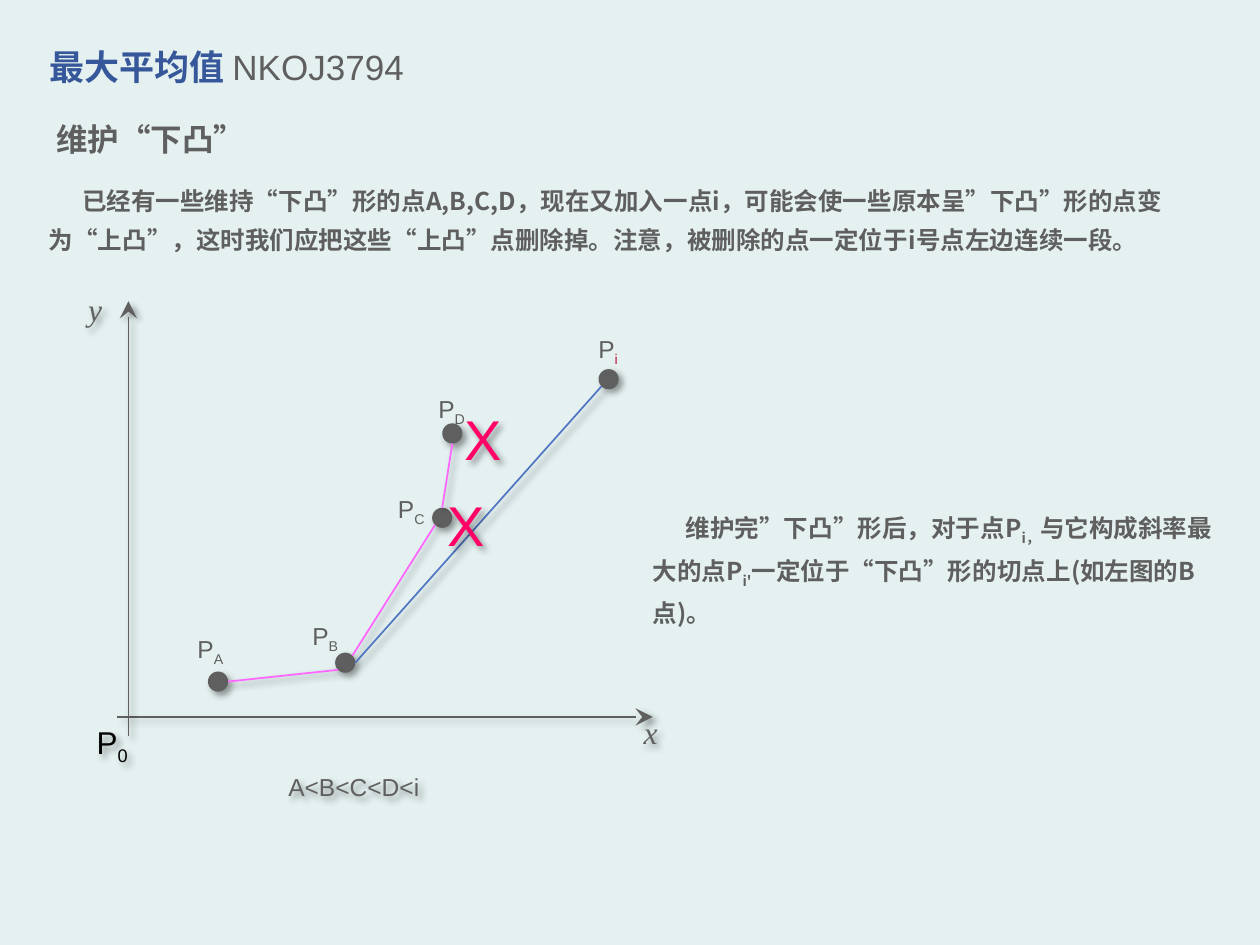
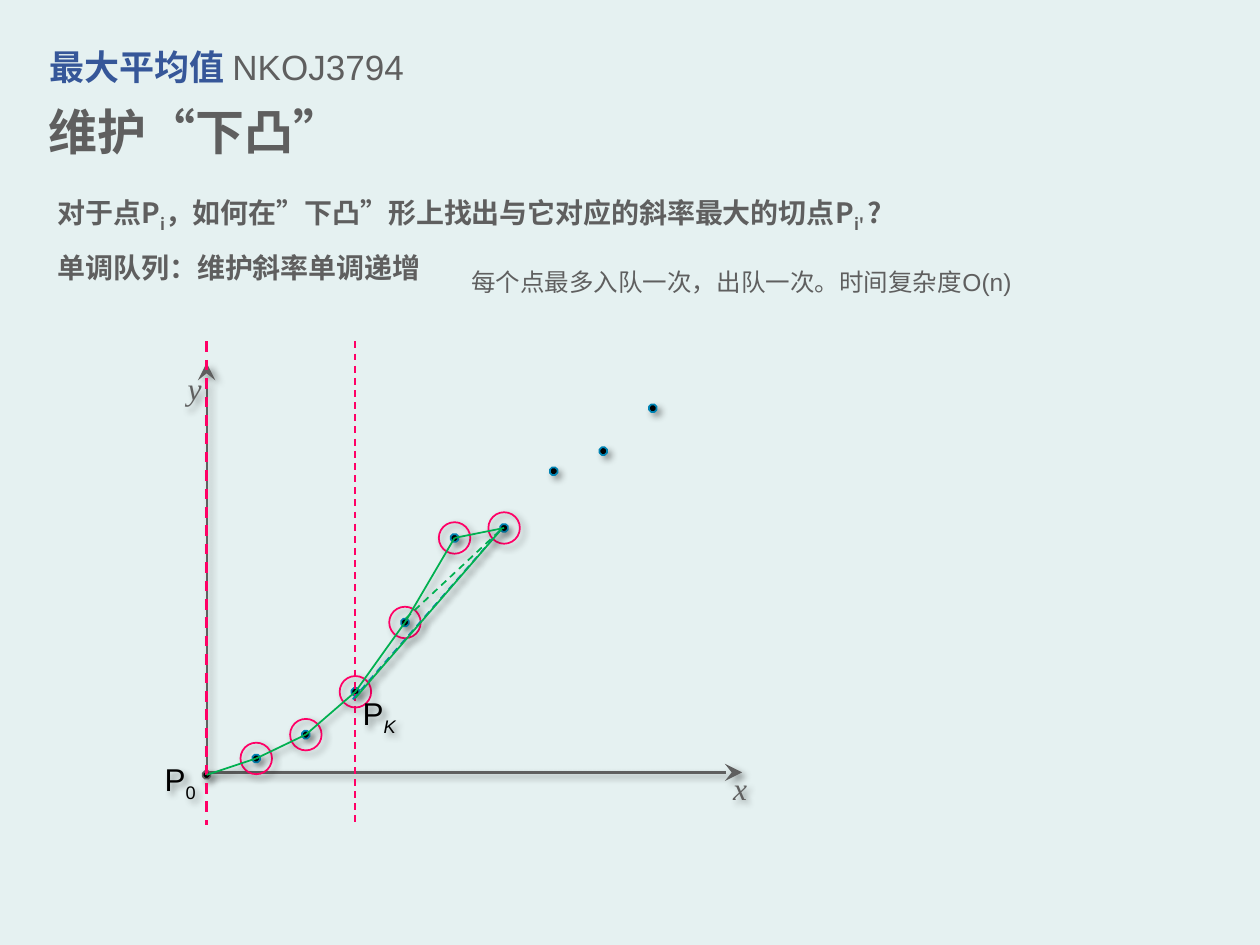
"""Builds two slides on keeping a lower convex hull with a monotonic queue."""
from itertools import pairwise

from lxml.etree import SubElement
from pptx import Presentation
from pptx.dml.color import RGBColor
from pptx.enum.dml import MSO_LINE
from pptx.enum.lang import MSO_LANGUAGE_ID
from pptx.enum.shapes import MSO_CONNECTOR, MSO_SHAPE
from pptx.enum.text import MSO_ANCHOR, MSO_AUTO_SIZE, PP_ALIGN
from pptx.oxml.ns import qn
from pptx.util import Pt

BACK, GRAY, NAVY, BLACK = "E5F1F1", "5F5F5F", "365799", "000000"
RED, CRIMSON, PINK = "FF0066", "BE1C3D", "FF66FF"
BLUE, TEAL, GREEN = "5277C2", "0083B3", "00B050"
SANS, CJK, SERIF = "Arial", "Noto Sans CJK SC", "Times New Roman"

SUB = {"sub": True}
HEADING = {"font": CJK, "bold": True}
BODY = {"size": 14, "font": CJK, "bold": True, "indent": 19}
AXIS = {"size": 18, "font": SERIF, "italic": True}
POINT = {"size": 18, "color": BLACK, "align": PP_ALIGN.CENTER}

TITLE = [("最大平均值 ", {"color": NAVY, "bold": True}), "NKOJ3794"]
SUBTITLE = "维护“下凸”"

HULL_TEXTS = [
    ((25.2, 58.3, 669.6, 35), [SUBTITLE], {"size": 18, **HEADING}),
    ((20.9, 97.9, 669.6, 51),
     ["已经有一些维持“下凸”形的点A,B,C,D，现在又加入一点i，可能会使一些原本呈”下凸”形的点变为“上凸”，"
      "这时我们应把这些“上凸”点删除掉。注意，被删除的点一定位于i号点左边连续一段。"], BODY),
    ((365.8, 283.7, 344.2, 51),
     ["维护完”下凸”形后，对于点P", ("i，", SUB), "与它构成斜率最大的点P", ("i'", SUB),
      "一定位于“下凸”形的切点上(如左图的B点)。"], BODY),
]
HULL_MARKS = [
    ((43.2, 162, 18, 29), ["y"], AXIS),
    ((360.7, 403.9, 18, 29), ["x"], AXIS),
    ((43.2, 409.7, 41.8, 29), ["P", ("0", SUB)], POINT),
    ((157.7, 432.7, 110.2, 29), ["A<B<C<D<i"], {"size": 14, "spacing": 1.3}),
]
HULL_AXES = [((67, 409.7), (373, 409.7)), ((73.4, 420.5), (73.4, 172.1))]
HULL_POINTS = {
    "A": ((124.6, 389.5), (105.8, 352.8)),
    "B": ((197.3, 378.7), (171.4, 345.6)),
    "C": ((252.7, 295.9), (220.3, 272.9)),
    "D": ((258.5, 247.7), (243.4, 216)),
    "i": ((347.8, 216.7), (334.8, 181.4)),
}
RIGHT, TOP, BOTTOM, LOWER_LEFT, UPPER_RIGHT = (1, 0), (0, -1), (0, 1), (-0.71, 0.71), (0.71, -0.71)
HULL_EDGES = [
    ("A", RIGHT, "B", LOWER_LEFT, PINK),
    ("B", UPPER_RIGHT, "C", LOWER_LEFT, PINK),
    ("C", TOP, "D", BOTTOM, PINK),
    ("B", RIGHT, "i", LOWER_LEFT, BLUE),
]
CROSSES = [(248.4, 265), (258.5, 216)]

QUEUE_TEXTS = [
    ((20.9, 44.6, 669.6, 51), [SUBTITLE], {"size": 28, **HEADING}),
    ((25.9, 101.5, 527, 32.4),
     ["对于点P", ("i", SUB), "，如何在”下凸”形上找出与它对应的斜率最大的切点P", ("i' ", SUB), "?"],
     {"size": 16, **HEADING}),
    ((25.9, 133.9, 255.6, 32.4), ["单调队列：维护斜率单调递增"], {"size": 16, **HEADING}),
    ((262.1, 144, 339.1, 29), ["每个点最多入队一次，出队一次。时间复杂度O(n)"], {"size": 14}),
]
QUEUE_MARKS = [
    ((100.1, 207.4, 18, 29), ["y"], AXIS),
    ((411.8, 435.6, 18, 29), ["x"], AXIS),
    ((82.1, 430.6, 41.8, 29), ["P", ("0", SUB)], POINT),
    ((195.8, 393.1, 41.8, 29), ["P", ("K", {"sub": True, "italic": True})], POINT),
]
ORIGIN = (118.1, 441.4)
QUEUE_AXES = [((118.1, 207.4), 1), ((424.1, 441.4), 1.25)]
DOT_STEP = 28.33
DOT_HEIGHTS = [442.8, 433.4, 419.8, 395.3, 355.7, 307.4, 301.7, 269.3, 257.8, 233.3]
HULL_SIZE = 7
SWEEPS = [(118.1, 1.5), (203, 1)]
CHORDS = [
    ((231.8, 353.5), (285.8, 303.1), GREEN, True),
    ((201.6, 399.6), (285.8, 303.1), TEAL, True),
    ((203, 398.9), (286.6, 302.4), GREEN, False),
]


def rgb(value):
    """Return a colour from a hex string."""
    return RGBColor.from_string(value)


def set_shadow(shape, on=True):
    """Give a shape a soft drop shadow, or none."""
    effects = SubElement(shape._element.spPr, qn("a:effectLst"))
    if on:
        shadow = SubElement(effects, qn("a:outerShdw"), blurRad=str(Pt(4)), dist=str(Pt(3)),
                            dir="2700000", algn="tl", rotWithShape="0")
        color = SubElement(shadow, qn("a:srgbClr"), val=BLACK)
        SubElement(color, qn("a:alpha"), val="40000")


def add_run(p, text, size, font, color, bold=False, italic=False, sub=False):
    """Add one formatted run to a paragraph."""
    r = p.add_run()
    r.text = text
    f = r.font
    f.size, f.name, f.bold, f.italic = Pt(size), font, bold, italic
    f.color.rgb = rgb(color)
    f.language_id = MSO_LANGUAGE_ID.SIMPLIFIED_CHINESE
    rPr = r._r.get_or_add_rPr()
    SubElement(rPr, qn("a:ea"), typeface=CJK)
    if sub:
        rPr.set("baseline", "-25000")


def fill_text(sp, runs, size, font=SANS, color=GRAY, bold=False, italic=False,
              spacing=1.3, align=PP_ALIGN.LEFT, indent=0, wrap=True):
    """Write one paragraph of runs into a shape."""
    tf = sp.text_frame
    tf.word_wrap = wrap
    tf.auto_size = MSO_AUTO_SIZE.SHAPE_TO_FIT_TEXT
    tf.vertical_anchor = MSO_ANCHOR.TOP
    p = tf.paragraphs[0]
    p.alignment, p.line_spacing = align, spacing
    if indent:
        p._p.get_or_add_pPr().set("indent", str(Pt(indent)))
    base = {"size": size, "font": font, "color": color, "bold": bold, "italic": italic}
    for run in runs:
        text, changes = (run, {}) if isinstance(run, str) else run
        add_run(p, text, **{**base, **changes})


def add_text(s, box, runs, style, shadow=False):
    """Add a text box."""
    sp = s.shapes.add_textbox(*map(Pt, box))
    fill_text(sp, runs, **style)
    if shadow:
        set_shadow(sp)


def add_marks(s, marks):
    """Add the shadowed labels of a diagram."""
    for box, runs, style in marks:
        add_text(s, box, runs, {"spacing": 1, **style}, shadow=True)


def add_line(s, start, end, color, width=1.0, dash=False, arrow=False, shadow=True):
    """Add a straight line or arrow."""
    c = s.shapes.add_connector(MSO_CONNECTOR.STRAIGHT, *map(Pt, (*start, *end)))
    c.line.color.rgb = rgb(color)
    c.line.width = Pt(width)
    if dash:
        c.line.dash_style = MSO_LINE.DASH
    if arrow:
        SubElement(c.line._get_or_add_ln(), qn("a:tailEnd"), type="stealth", w="lg", len="lg")
    set_shadow(c, shadow)


def add_dot(s, kind, center, size, fill=None, line=None):
    """Add a shape centred on a point."""
    x, y = center
    sp = s.shapes.add_shape(kind, Pt(x - size / 2), Pt(y - size / 2), Pt(size), Pt(size))
    if fill:
        sp.fill.solid()
        sp.fill.fore_color.rgb = rgb(fill)
    else:
        sp.fill.background()
    if line:
        sp.line.color.rgb = rgb(line)
        sp.line.width = Pt(1)
    else:
        sp.line.fill.background()
    set_shadow(sp)


def new_slide(prs, texts):
    """Add a slide with the shared title and its own texts."""
    s = prs.slides.add_slide(prs.slide_layouts[5])
    title = s.shapes.title
    title.left, title.top, title.width, title.height = map(Pt, (20.9, 15.1, 557.3, 38.2))
    fill_text(title, TITLE, 20)
    for box, runs, style in texts:
        add_text(s, box, runs, style)
    return s


def hull_slide(prs):
    """Show which points leave the hull when point i arrives."""
    s = new_slide(prs, HULL_TEXTS)
    for start, end in HULL_AXES:
        add_line(s, start, end, GRAY, 0.75, arrow=True)
    add_marks(s, HULL_MARKS)
    size = 11.5
    for name, (center, corner) in HULL_POINTS.items():
        sub = {"sub": True, "color": CRIMSON if name == "i" else GRAY}
        add_text(s, (*corner, 30, 29), ["P", (name, sub)], {"size": 14, "wrap": False})
        add_dot(s, MSO_SHAPE.OVAL, center, size, GRAY)

    def rim(name, side):
        return [c + d * size / 2 for c, d in zip(HULL_POINTS[name][0], side)]

    for first, out, second, into, color in HULL_EDGES:
        add_line(s, rim(first, out), rim(second, into), color)
    for corner in CROSSES:
        add_text(s, (*corner, 36, 57), ["X"], {"size": 32, "color": RED, "wrap": False}, True)


def queue_slide(prs):
    """Show the queue of hull points and the tangent search."""
    s = new_slide(prs, QUEUE_TEXTS)
    for end, width in QUEUE_AXES:
        add_line(s, ORIGIN, end, GRAY, width, arrow=True)
    dots = [(ORIGIN[0] + k * DOT_STEP, y) for k, y in enumerate(DOT_HEIGHTS)]
    for k, dot in enumerate(dots):
        add_dot(s, MSO_SHAPE.OCTAGON, dot, 4.3, BLACK, TEAL if k else GRAY)
    for x, width in SWEEPS:
        add_line(s, (x, 195.1), (x, 471.6), RED, width, dash=True, shadow=False)
    for dot in dots[1:HULL_SIZE]:
        add_dot(s, MSO_SHAPE.OVAL, dot, 18, line=RED)
    for start, end in pairwise(dots[:HULL_SIZE]):
        add_line(s, start, end, GREEN)
    for start, end, color, dash in CHORDS:
        add_line(s, start, end, color, dash=dash)
    add_marks(s, QUEUE_MARKS)


def main():
    """Build and save the presentation."""
    prs = Presentation()
    prs.slide_width, prs.slide_height = Pt(720), Pt(540)
    fill = prs.slide_master.background.fill
    fill.solid()
    fill.fore_color.rgb = rgb(BACK)
    hull_slide(prs)
    queue_slide(prs)
    prs.save("out.pptx")


if __name__ == "__main__":
    main()
